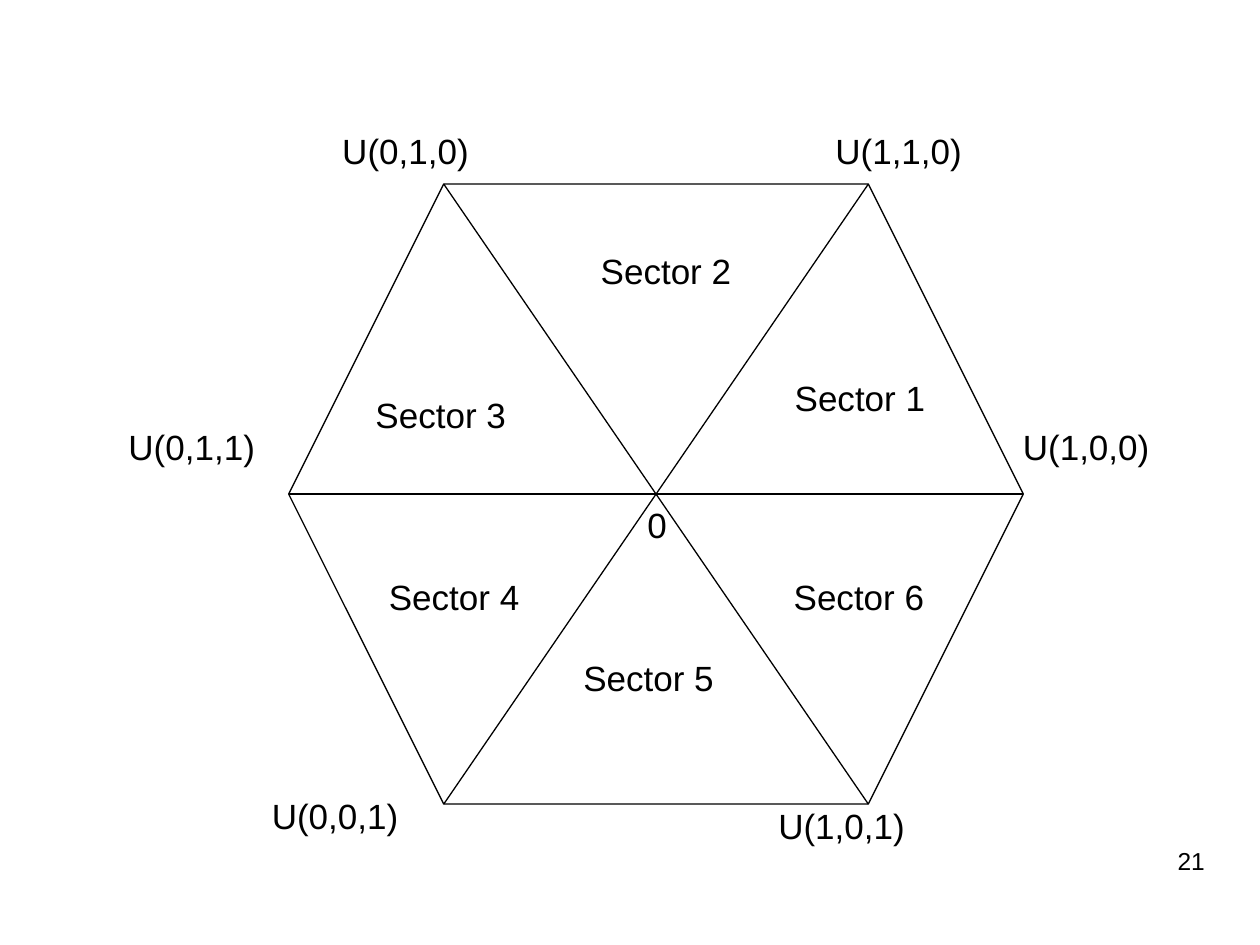
from dataclasses import dataclass

from lxml.etree import SubElement
from pptx import Presentation
from pptx.dml.color import RGBColor
from pptx.enum.shapes import MSO_CONNECTOR, MSO_SHAPE
from pptx.enum.text import MSO_AUTO_SIZE as AUTO, PP_ALIGN as ALIGN
from pptx.oxml.ns import qn
from pptx.util import Cm, Pt

BLACK = RGBColor(0x00, 0x00, 0x00)
WHITE = RGBColor(0xFF, 0xFF, 0xFF)

LEFT, TOP, WIDTH, HEIGHT = 5.82, 3.71, 14.81, 12.5
RIGHT, BOTTOM = LEFT + WIDTH, TOP + HEIGHT
INSET = HEIGHT / 4
MIDDLE = TOP + HEIGHT / 2
VECTOR_WIDTH, SECTOR_WIDTH = 4.09, 3.43


@dataclass(frozen=True)
class Label:
    text: str
    x: float
    y: float
    width: float
    height: float = 1.12
    size: int = 20
    align: ALIGN = ALIGN.LEFT
    auto_size: AUTO = AUTO.SHAPE_TO_FIT_TEXT


@dataclass(frozen=True)
class Diagonal:
    x1: float
    y1: float
    x2: float
    y2: float


VECTORS = [
    Label("U(1,0,0)", 20.37, 8.46, VECTOR_WIDTH),
    Label("U(1,1,0)", 16.59, 2.49, VECTOR_WIDTH),
    Label("U(0,1,0)", 6.65, 2.49, VECTOR_WIDTH),
    Label("U(0,1,1)", 2.34, 8.46, VECTOR_WIDTH),
    Label("U(0,0,1)", 5.23, 15.9, VECTOR_WIDTH),
    Label("U(1,0,1)", 15.44, 16.1, VECTOR_WIDTH),
    Label("0", 12.8, 10.03, VECTOR_WIDTH),
]
SECTOR_PLACES = [
    (15.77, 7.47), (11.86, 4.9), (7.32, 7.8),
    (7.59, 11.48), (11.51, 13.11), (15.75, 11.48),
]
SECTORS = [
    Label(f"Sector {number}", x, y, SECTOR_WIDTH)
    for number, (x, y) in enumerate(SECTOR_PLACES, 1)
]
SLIDE_NUMBER = Label("21", 18.62, 16.94, 5.92, 1.32, 14, ALIGN.RIGHT, AUTO.NONE)
DIAGONALS = [
    Diagonal(LEFT + INSET, TOP, RIGHT - INSET, BOTTOM),
    Diagonal(RIGHT - INSET, TOP, LEFT + INSET, BOTTOM),
    Diagonal(LEFT, MIDDLE, RIGHT, MIDDLE),
]


def set_line(line) -> None:
    line.color.rgb = BLACK
    line.width = Pt(0.75)


def add_hexagon(s) -> None:
    sp = s.shapes.add_shape(
        MSO_SHAPE.HEXAGON, Cm(LEFT), Cm(TOP), Cm(WIDTH), Cm(HEIGHT)
    )
    sp.shadow.inherit = False
    sp.fill.solid()
    sp.fill.fore_color.rgb = WHITE
    set_line(sp.line)


def add_diagonal(s, d: Diagonal) -> None:
    cxn = s.shapes.add_connector(
        MSO_CONNECTOR.STRAIGHT, Cm(d.x1), Cm(d.y1), Cm(d.x2), Cm(d.y2)
    )
    set_line(cxn.line)
    SubElement(cxn._element.spPr, qn("a:effectLst"))


def add_label(s, label: Label) -> None:
    sp = s.shapes.add_textbox(
        Cm(label.x), Cm(label.y), Cm(label.width), Cm(label.height)
    )
    tf = sp.text_frame
    tf.word_wrap = True
    tf.auto_size = label.auto_size
    p = tf.paragraphs[0]
    p.alignment = label.align
    r = p.add_run()
    r.text = label.text
    for name, value in {"name": "Arial", "size": Pt(label.size)}.items():
        setattr(r.font, name, value)
    r.font.color.rgb = BLACK


def main() -> None:
    prs = Presentation()
    prs.slide_width, prs.slide_height = Cm(25.4), Cm(19.05)
    s = prs.slides.add_slide(prs.slide_layouts[6])
    add_hexagon(s)
    for diagonal in DIAGONALS:
        add_diagonal(s, diagonal)
    for label in [*VECTORS, *SECTORS, SLIDE_NUMBER]:
        add_label(s, label)
    prs.save("out.pptx")


if __name__ == "__main__":
    main()
